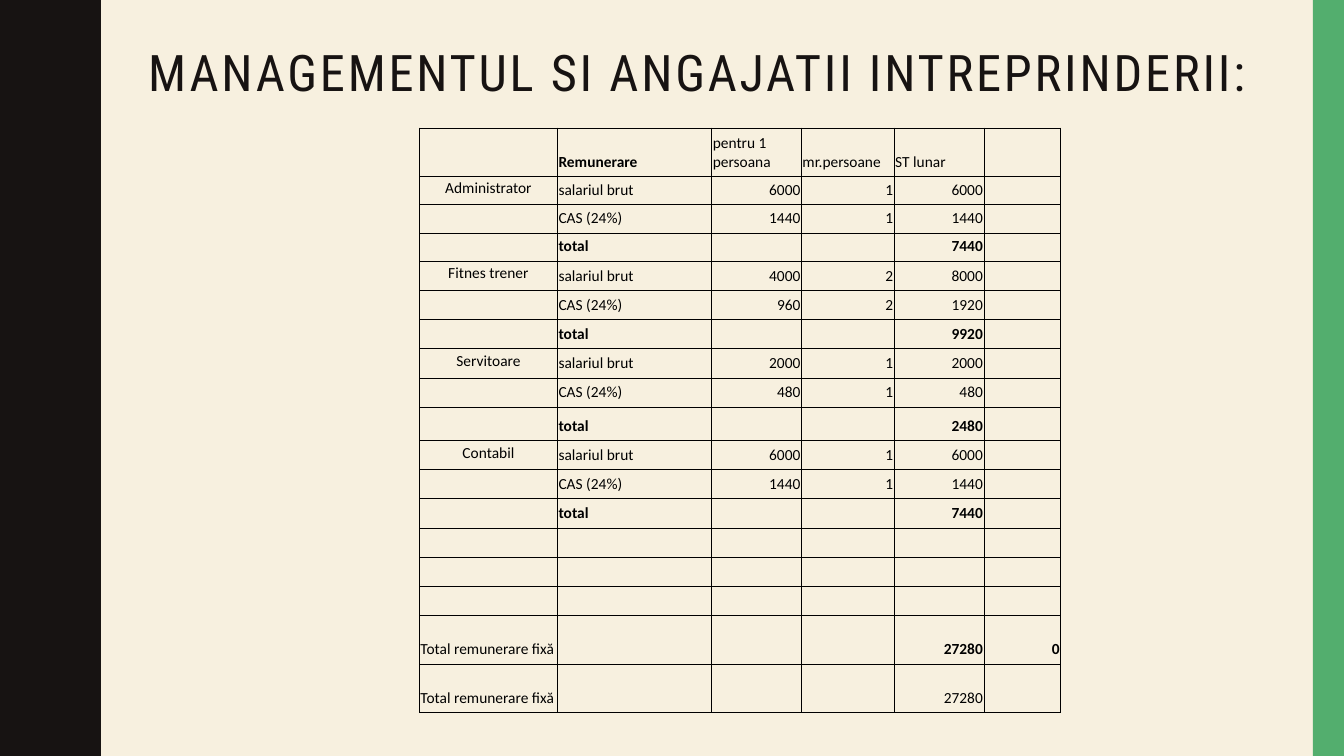
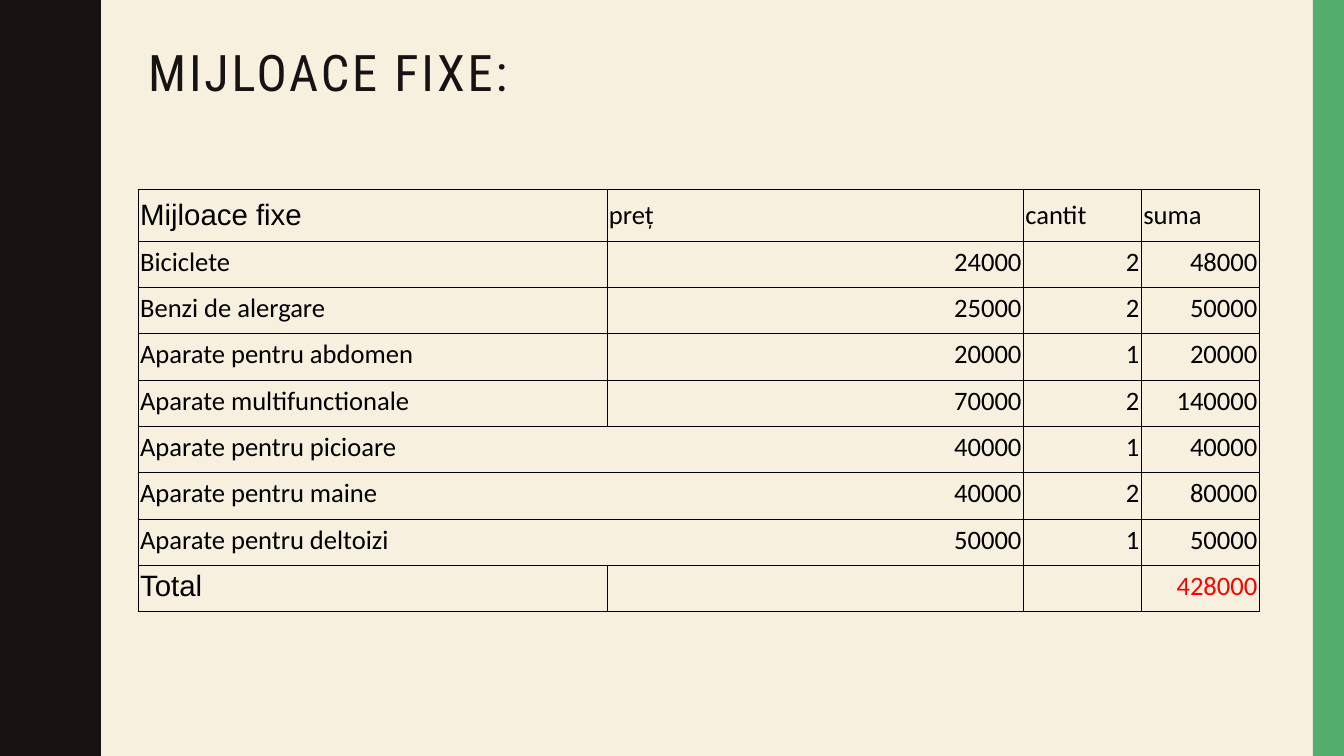
"""Build two slides listing the staff costs and fixed assets of a fitness business."""

from dataclasses import dataclass
from typing import NamedTuple, Optional

from lxml import etree
from pptx import Presentation
from pptx import util as u
from pptx.dml.color import RGBColor
from pptx.enum import shapes, text
from pptx.oxml.ns import qn

CREAM = RGBColor(0xF7, 0xF0, 0xDF)
INK = RGBColor(0x17, 0x13, 0x12)
GREEN = RGBColor(0x53, 0xAE, 0x6E)
BLACK = RGBColor(0, 0, 0)
RED = RGBColor(0xFF, 0, 0)

TITLE_FONT = "Roboto Condensed"
TABLE_FONT = "Calibri"
HEADING_FONT = "Arial"

WIDTH, HEIGHT = 13.33, 7.5
BAND_WIDTH = 0.31
WAVE_PERIOD = 1.5
WAVE_RISE = [
    (0.78, 0), (0.78, 0.07), (0.79, 0.14), (0.8, 0.2), (0.81, 0.25),
    (0.83, 0.29), (0.85, 0.33), (0.87, 0.38), (0.89, 0.42), (0.91, 0.46),
    (0.93, 0.5), (0.95, 0.55), (0.96, 0.61), (0.97, 0.68), (0.97, 0.75),
]


class Entry(NamedTuple):
    """One table cell: its wording and any departure from the table's style."""

    words: str = ""
    bold: bool = False
    role: bool = False
    color: RGBColor = BLACK
    font: str = TABLE_FONT
    size: Optional[float] = None


class Row(NamedTuple):
    """One table row; an open row has no line between its first two cells."""

    height: float
    entries: list[Entry]
    open: bool = False


@dataclass
class Grid:
    """A bordered table with its place, column widths and text settings."""

    left: float
    top: float
    columns: list[float]
    rows: list[Row]
    size: float
    inset: float
    bottom_inset: float


@dataclass
class Staff:
    """A position with its monthly gross pay and headcount."""

    role: str
    gross: int
    count: int
    pay_height: float = 0.29
    total_height: float = 0.29

    @property
    def contribution(self) -> int:
        """Return the 24% social contribution for one person."""
        return self.gross * 24 // 100

    @property
    def total(self) -> int:
        """Return the monthly cost of everyone in this position."""
        return (self.gross + self.contribution) * self.count

    def rows(self) -> list[Row]:
        """Return the pay, contribution and total rows."""
        result = []
        for role, label, amount in (
            (self.role, "salariul brut", self.gross),
            ("", "CAS (24%)", self.contribution),
        ):
            numbers = (amount, self.count, amount * self.count)
            entries = [Entry(role, role=True), Entry(label)]
            entries += [Entry(str(number)) for number in numbers]
            result.append(Row(self.pay_height, entries + [Entry()]))
        total = [Entry(), Entry("total", bold=True), Entry(), Entry(),
                 Entry(str(self.total), bold=True), Entry()]
        return result + [Row(self.total_height, total)]


class Equipment(NamedTuple):
    """A fixed asset with its unit price and quantity."""

    name: str
    price: int
    count: int
    open: bool = False


STAFF = [
    Staff("Administrator", 6000, 1, 0.28, 0.28),
    Staff("Fitnes trener", 4000, 2),
    Staff("Servitoare", 2000, 1, total_height=0.33),
    Staff("Contabil", 6000, 1),
]

EQUIPMENT = [
    Equipment("Biciclete", 24000, 2),
    Equipment("Benzi de alergare", 25000, 2),
    Equipment("Aparate pentru abdomen", 20000, 1),
    Equipment("Aparate multifunctionale", 70000, 2),
    Equipment("Aparate pentru picioare", 40000, 1, open=True),
    Equipment("Aparate pentru maine", 40000, 2, open=True),
    Equipment("Aparate pentru deltoizi", 50000, 1, open=True),
]


def staff_grid() -> Grid:
    """Return the table of monthly staff costs."""
    header = [Entry(), Entry("Remunerare", bold=True), Entry("pentru 1 persoana"),
              Entry("mr.persoane"), Entry("ST lunar"), Entry()]
    rows = [Row(0.48, header)]
    for position in STAFF:
        rows += position.rows()
    rows += [Row(0.29, [Entry()] * 6)] * 3
    total = str(sum(position.total for position in STAFF))
    for bold, extra in ((True, "0"), (False, "")):
        rows.append(Row(0.48, [Entry("Total remunerare fixă"), Entry(), Entry(), Entry(),
                               Entry(total, bold), Entry(extra, bold)]))
    columns = [1.37, 1.53, 0.89, 0.92, 0.89, 0.76]
    return Grid(4.16, 1.27, columns, rows, 11, 0.01, 0.05)


def equipment_grid() -> Grid:
    """Return the table of fixed assets."""
    header = [Entry("Mijloace fixe", font=HEADING_FONT, size=21),
              Entry("preț"), Entry("cantit"), Entry("suma")]
    rows = [Row(0.51, header)]
    for item in EQUIPMENT:
        numbers = (item.price, item.count, item.price * item.count)
        entries = [Entry(item.name)] + [Entry(str(number)) for number in numbers]
        rows.append(Row(0.46, entries, item.open))
    total = sum(item.price * item.count for item in EQUIPMENT)
    rows.append(Row(0.46, [Entry("Total", font=HEADING_FONT, size=21), Entry(), Entry(),
                           Entry(str(total), color=RED)]))
    return Grid(1.37, 1.88, [4.65, 4.13, 1.17, 1.17], rows, 19, 0.02, 0.09)


def paint(shape, color: RGBColor) -> None:
    """Give a shape a flat fill with no line or shadow."""
    shape.fill.solid()
    shape.fill.fore_color.rgb = color
    shape.line.fill.background()
    shape.shadow.inherit = False


def wave_points() -> list[tuple[float, float]]:
    """Return the wavy edge from top to bottom."""
    fall = [(x, WAVE_PERIOD - y) for x, y in reversed(WAVE_RISE[:-1])]
    period = WAVE_RISE + fall[:-1]
    count = round(HEIGHT / WAVE_PERIOD)
    points = [(x, y + index * WAVE_PERIOD) for index in range(count) for x, y in period]
    return points + [(WAVE_RISE[0][0], HEIGHT)]


def decorate(layout, page) -> None:
    """Set the shared background, bands and title place on the layout."""
    layout.background.fill.solid()
    layout.background.fill.fore_color.rgb = CREAM
    builder = page.shapes.build_freeform(0, 0, scale=u.Inches(1))
    builder.add_line_segments(wave_points() + [(0, HEIGHT)], close=True)
    wave = builder.convert_to_shape()
    band = page.shapes.add_shape(
        shapes.MSO_SHAPE.RECTANGLE, u.Inches(WIDTH - BAND_WIDTH), 0,
        u.Inches(BAND_WIDTH), u.Inches(HEIGHT))
    for shape, color in ((band, GREEN), (wave, INK)):
        paint(shape, color)
        layout.shapes.element.insert(2, shape.element)
    title = layout.placeholders[0]
    title.left, title.top = u.Inches(1.37), u.Inches(0.42)
    title.width, title.height = u.Inches(11.13), u.Inches(0.65)


def write_title(page, words: str) -> None:
    """Fill and format the title placeholder."""
    frame = page.shapes.title.text_frame
    frame.text = words
    frame.auto_size = text.MSO_AUTO_SIZE.NONE
    frame.vertical_anchor = text.MSO_ANCHOR.MIDDLE
    para = frame.paragraphs[0]
    para.alignment = text.PP_ALIGN.LEFT
    para.line_spacing = 0.9
    span = para.runs[0]
    span.font.name, span.font.size = TITLE_FONT, u.Pt(36)
    span.font.color.rgb = INK
    span.font.bold = False
    span._r.get_or_add_rPr().set("spc", "200")


def draw_borders(cell, missing: str) -> None:
    """Line the cell's sides, leaving the missing one clear."""
    properties = cell._tc.get_or_add_tcPr()
    for side in ("L", "R", "T", "B"):
        line = etree.SubElement(properties, qn(f"a:ln{side}"), w=str(u.Pt(0.5)))
        if side == missing:
            etree.SubElement(line, qn("a:noFill"))
        else:
            fill = etree.SubElement(line, qn("a:solidFill"))
            etree.SubElement(fill, qn("a:srgbClr"), val=str(BLACK))


def write_cell(cell, entry: Entry, grid: Grid, missing: str) -> None:
    """Fill, format and border one table cell."""
    draw_borders(cell, missing)
    cell.fill.background()
    cell.margin_left = cell.margin_right = cell.margin_top = u.Inches(grid.inset)
    cell.margin_bottom = u.Inches(grid.bottom_inset)
    cell.vertical_anchor = text.MSO_ANCHOR.MIDDLE if entry.role else text.MSO_ANCHOR.BOTTOM
    cell.text_frame.text = entry.words
    para = cell.text_frame.paragraphs[0]
    if entry.role:
        para.alignment = text.PP_ALIGN.CENTER
    elif entry.words.isdigit():
        para.alignment = text.PP_ALIGN.RIGHT
    size = u.Pt(entry.size or grid.size)
    for span in para.runs:
        span.font.name, span.font.size = entry.font, size
        span.font.bold = entry.bold
        span.font.color.rgb = entry.color
    if not entry.words:
        etree.SubElement(para._p, qn("a:endParaRPr"), sz=str(round(size.pt * 100)))


def draw_grid(page, grid: Grid) -> None:
    """Add the table to the page."""
    frame = page.shapes.add_table(
        len(grid.rows), len(grid.columns), u.Inches(grid.left), u.Inches(grid.top),
        u.Inches(sum(grid.columns)), u.Inches(sum(row.height for row in grid.rows)))
    table = frame.table
    table.first_row = table.horz_banding = False
    for column, width in zip(table.columns, grid.columns):
        column.width = u.Inches(width)
    for row_index, row in enumerate(grid.rows):
        table.rows[row_index].height = u.Inches(row.height)
        for column_index, entry in enumerate(row.entries):
            missing = {0: "R", 1: "L"}.get(column_index, "") if row.open else ""
            write_cell(table.cell(row_index, column_index), entry, grid, missing)


def main() -> None:
    """Build and save the deck."""
    deck = Presentation()
    deck.slide_width, deck.slide_height = u.Inches(WIDTH), u.Inches(HEIGHT)
    layout = deck.slide_layouts[5]
    contents = [
        ("MANAGEMENTUL SI ANGAJATII INTREPRINDERII:", staff_grid()),
        ("MIJLOACE FIXE:", equipment_grid()),
    ]
    pages = [deck.slides.add_slide(layout) for _ in contents]
    decorate(layout, pages[0])
    for page, (title, grid) in zip(pages, contents):
        write_title(page, title)
        draw_grid(page, grid)
    deck.save("out.pptx")


if __name__ == "__main__":
    main()
